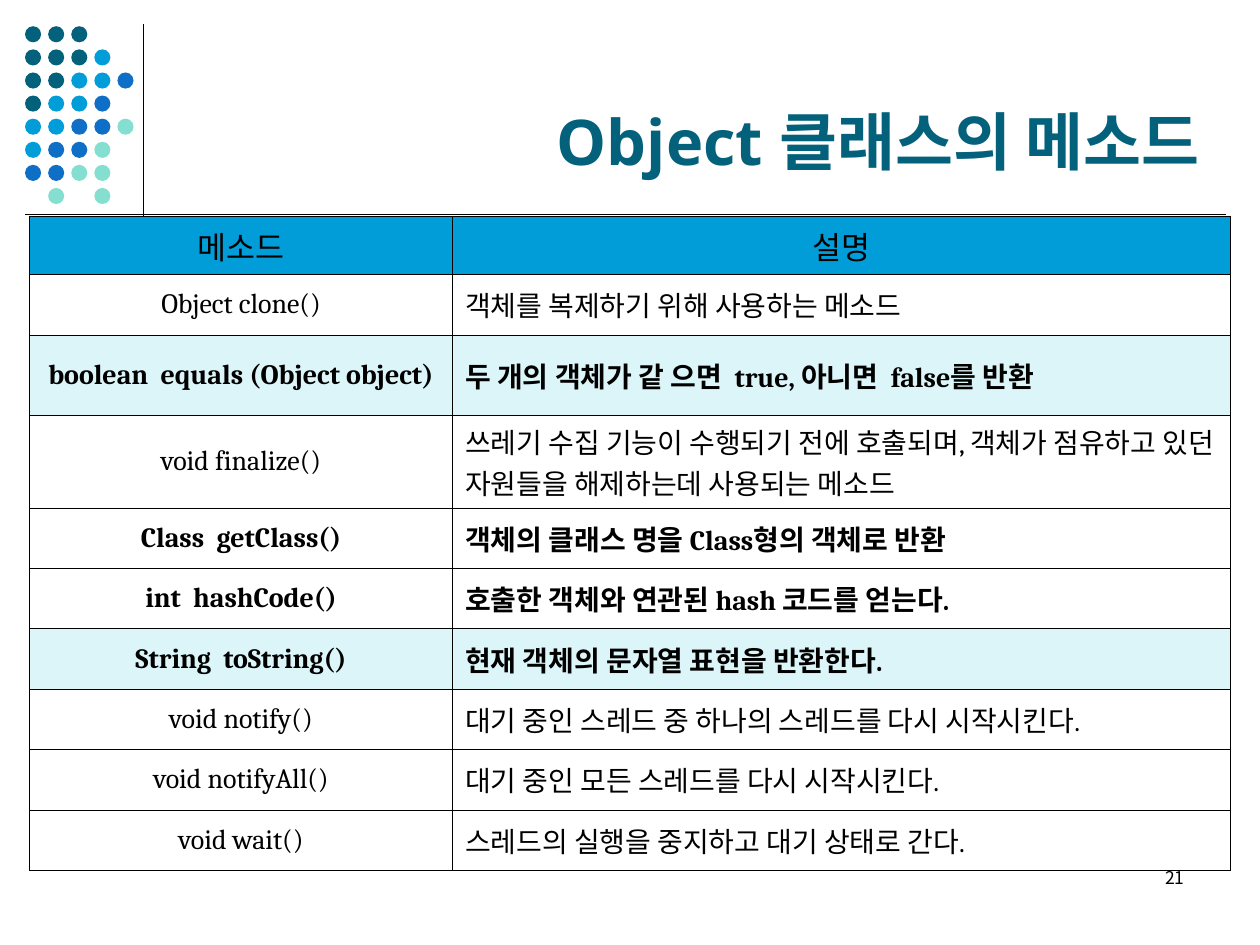
from lxml.etree import SubElement
from pptx import Presentation
from pptx.dml.color import RGBColor
from pptx.enum.shapes import MSO_CONNECTOR, MSO_SHAPE
from pptx.enum.text import MSO_ANCHOR, PP_ALIGN
from pptx.oxml.ns import qn
from pptx.util import Pt

COLORS = {
    "black": "000000", "white": "FFFFFF", "teal": "04617B", "sky": "009DD9",
    "blue": "0F6FC6", "mint": "85DFD0", "pale": "DBF5F9",
}
DOT_COLORS = {"t": "teal", "s": "sky", "b": "blue", "m": "mint"}
DOT_ROWS = ["ttt", "ttts", "ttssb", "tssb", "ssbbm", "sbbm", "bbmm", " m m"]
DOT_LEFT, DOT_TOP, DOT_STEP, DOT_SIZE = 14.3, 15, 13.2, 9.2
KOREAN = "Noto Sans CJK KR"
TITLE = {"size": Pt(36), "bold": True, "name": "Noto Sans"}
PAGE = {"size": Pt(10), "bold": False, "name": KOREAN}
HEAD = {"size": Pt(18), "bold": False, "name": "Cambria"}
BODY = {"size": Pt(16), "bold": False, "name": "Cambria"}
STRONG = BODY | {"bold": True}
COLUMNS = [241.9, 444.2]
METHODS = [
    ("메소드", "설명", 33.1, HEAD, "sky"),
    ("Object clone()", "객체를 복제하기 위해 사용하는 메소드", 34.5, BODY, "white"),
    ("boolean  equals (Object object)",
     "두 개의 객체가 같 으면  true, 아니면  false를 반환", 46, STRONG, "pale"),
    ("void finalize()",
     "쓰레기 수집 기능이 수행되기 전에 호출되며, 객체가 점유하고 있던 자원들을 해제하는데 사용되는 메소드",
     53, BODY, "white"),
    ("Class  getClass()", "객체의 클래스 명을 Class형의 객체로 반환", 34.5, STRONG, "white"),
    ("int  hashCode()", "호출한 객체와 연관된 hash 코드를 얻는다.", 34.5, STRONG, "white"),
    ("String  toString()", "현재 객체의 문자열 표현을 반환한다.", 34.5, STRONG, "pale"),
    ("void notify()", "대기 중인 스레드 중 하나의 스레드를 다시 시작시킨다.", 34.5, BODY, "white"),
    ("void notifyAll()", "대기 중인 모든 스레드를 다시 시작시킨다.", 34.5, BODY, "white"),
    ("void wait()", "스레드의 실행을 중지하고 대기 상태로 간다.", 34.5, BODY, "white"),
]


def rgb(name):
    """Return the named colour."""
    return RGBColor.from_string(COLORS[name])


def write_text(tf, text, fmt, align, color="black"):
    """Write one formatted paragraph without kerning into a text frame."""
    p = tf.paragraphs[0]
    p.alignment = align
    r = p.add_run()
    r.text = text
    for key, value in fmt.items():
        setattr(r.font, key, value)
    r.font.color.rgb = rgb(color)
    r.font._element.set("kern", "0")
    SubElement(r.font._element, qn("a:ea"), typeface=KOREAN)


def add_rule(s, x1, y1, x2, y2):
    """Draw a thin black line without a shadow."""
    line = s.shapes.add_connector(
        MSO_CONNECTOR.STRAIGHT, Pt(x1), Pt(y1), Pt(x2), Pt(y2))
    line.line.width = Pt(0.75)
    line.line.color.rgb = rgb("black")
    SubElement(line._element.spPr, qn("a:effectLst"))


def add_dots(s):
    """Draw the grid of coloured dots as one group."""
    group = s.shapes.add_group_shape()
    for row, codes in enumerate(DOT_ROWS):
        for col, code in enumerate(codes):
            if code == " ":
                continue
            sp = group.shapes.add_shape(
                MSO_SHAPE.OVAL, Pt(DOT_LEFT + col * DOT_STEP),
                Pt(DOT_TOP + row * DOT_STEP), Pt(DOT_SIZE), Pt(DOT_SIZE))
            sp.shadow.inherit = False
            sp.fill.solid()
            sp.fill.fore_color.rgb = rgb(DOT_COLORS[code])
            sp.line.fill.background()


def add_title(s, text):
    """Place and format the title placeholder."""
    sp = s.shapes.title
    box = {"left": Pt(16.6), "top": Pt(15.1), "width": Pt(676), "height": Pt(90.2)}
    for key, value in box.items():
        setattr(sp, key, value)
    sp.text_frame.vertical_anchor = MSO_ANCHOR.BOTTOM
    write_text(sp.text_frame, text, TITLE, PP_ALIGN.RIGHT, "teal")


def add_page_number(s, text):
    """Add the page number at the lower right."""
    sp = s.shapes.add_textbox(Pt(516.2), Pt(491.8), Pt(167.8), Pt(36))
    sp.text_frame.word_wrap = True
    write_text(sp.text_frame, text, PAGE, PP_ALIGN.RIGHT)


def style_cell(cell, fill):
    """Give a cell thin black borders and a plain fill."""
    tc_pr = cell._tc.get_or_add_tcPr()
    for side in ("a:lnL", "a:lnR", "a:lnT", "a:lnB"):
        ln = SubElement(tc_pr, qn(side), w=str(Pt(0.45)))
        solid = SubElement(ln, qn("a:solidFill"))
        SubElement(solid, qn("a:srgbClr"), val=COLORS["black"])
    cell.fill.solid()
    cell.fill.fore_color.rgb = rgb(fill)
    cell.vertical_anchor = MSO_ANCHOR.MIDDLE


def add_method_table(s):
    """Add the table of methods and descriptions."""
    height = sum(row[2] for row in METHODS)
    table = s.shapes.add_table(
        len(METHODS), len(COLUMNS), Pt(16.8), Pt(123.8),
        Pt(sum(COLUMNS)), Pt(height)).table
    table.first_row = table.horz_banding = False
    for column, width in zip(table.columns, COLUMNS):
        column.width = Pt(width)
    for row, (method, description, height, fmt, fill) in zip(table.rows, METHODS):
        row.height = Pt(height)
        second = PP_ALIGN.CENTER if fmt is HEAD else PP_ALIGN.LEFT
        texts = [(method, PP_ALIGN.CENTER), (description, second)]
        for cell, (text, align) in zip(row.cells, texts):
            style_cell(cell, fill)
            write_text(cell.text_frame, text, fmt, align)


def main():
    """Build the slide and save it."""
    prs = Presentation()
    prs.slide_width, prs.slide_height = Pt(720), Pt(540)
    s = prs.slides.add_slide(prs.slide_layouts[5])
    add_rule(s, 82.1, 13.7, 82.1, 491)
    add_dots(s)
    add_rule(s, 14.4, 122.4, 700.6, 122.4)
    add_title(s, "Object 클래스의 메소드")
    add_page_number(s, "21")
    add_method_table(s)
    prs.save("out.pptx")


if __name__ == "__main__":
    main()
